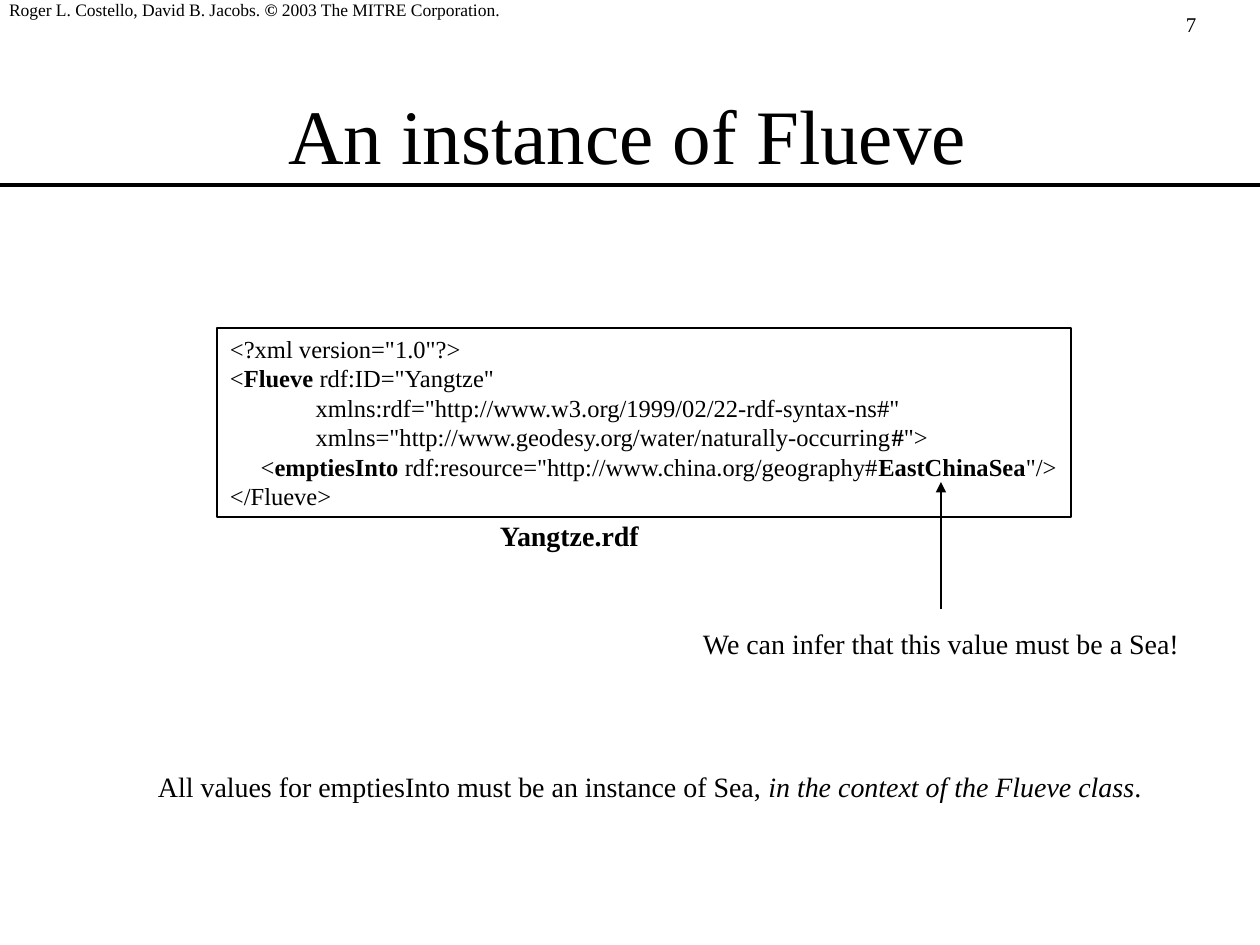
from dataclasses import dataclass

from lxml import etree
from pptx import Presentation
from pptx.dml.color import RGBColor
from pptx.enum.shapes import MSO_CONNECTOR, MSO_SHAPE
from pptx.enum.text import MSO_ANCHOR, PP_ALIGN
from pptx.oxml.ns import qn
from pptx.util import Emu, Pt

STRAIGHT = MSO_CONNECTOR.STRAIGHT
RECT = MSO_SHAPE.RECTANGLE
TOP, MIDDLE, BOTTOM = MSO_ANCHOR.TOP, MSO_ANCHOR.MIDDLE, MSO_ANCHOR.BOTTOM
LEFT, CENTER = PP_ALIGN.LEFT, PP_ALIGN.CENTER

EMU_PER_PX = 914400 // 126
SLIDE_W, SLIDE_H = 1260, 945


@dataclass(frozen=True)
class Theme:
    font: str = "Times New Roman"
    ink: RGBColor = RGBColor(0, 0, 0)
    title: int = 44
    body: int = 16
    code: int = 14
    number: int = 12
    credit: int = 10


THEME = Theme()

# Each line is a list of (text, style) runs; style is "", "b" or "i"
CODE = [
    [('<?xml version="1.0"?>', "")],
    [("<", ""), ("Flueve", "b"), (' rdf:ID="Yangtze"', "")],
    [('              xmlns:rdf="http://www.w3.org/1999/02/22-rdf-syntax-ns#"', "")],
    [('              xmlns="http://www.geodesy.org/water/naturally-occurring', ""),
     ("#", "b"), ('">', "")],
    [("     <", ""), ("emptiesInto", "b"),
     (' rdf:resource="http://www.china.org/geography#', ""),
     ("EastChinaSea", "b"), ('"/>', "")],
    [("</Flueve>", "")],
]
CREDIT = [[("Roger L. Costello, David B. Jacobs. ", ""), ("©", "b"),
           (" 2003 The MITRE Corporation.", "")]]
CONCLUSION = [[("All values for emptiesInto must be an instance of Sea, ", ""),
               ("in the context of the Flueve class", "i"), (".", "")]]


def px(n):
    return Emu(n * EMU_PER_PX)


def place(s, x, y, w, h):
    s.left, s.top, s.width, s.height = px(x), px(y), px(w), px(h)


def write(s, lines, size, align=LEFT, anchor=TOP, insets=(13, 6, 13, 6)):
    tf = s.text_frame
    tf.word_wrap = True
    tf.vertical_anchor = anchor
    tf.margin_left, tf.margin_top, tf.margin_right, tf.margin_bottom = map(px, insets)
    for i, runs in enumerate(lines):
        p = tf.add_paragraph() if i else tf.paragraphs[0]
        p.alignment = align
        for text, style in runs:
            r = p.add_run()
            r.text = text
            r.font.name = THEME.font
            r.font.size = Pt(size)
            r.font.color.rgb = THEME.ink
            r.font.bold = style == "b"
            r.font.italic = style == "i"


def add_text(slide, box, lines, size, **layout):
    s = slide.shapes.add_textbox(*map(px, box))
    write(s, lines, size, **layout)


def add_title(slide, box, text):
    s = slide.shapes.title
    place(s, *box)
    write(s, [[(text, "")]], THEME.title, align=CENTER, anchor=MIDDLE)


def add_code(slide, box, lines):
    s = slide.shapes.add_shape(RECT, *map(px, box))
    s.shadow.inherit = False
    s.fill.background()
    s.line.color.rgb = THEME.ink
    s.line.width = Pt(1)
    write(s, lines, THEME.code)


def add_line(slide, start, end, width, arrow=False):
    s = slide.shapes.add_connector(STRAIGHT, *map(px, start + end))
    s.line.color.rgb = THEME.ink
    s.line.width = Pt(width)
    if arrow:
        etree.SubElement(s.line._get_or_add_ln(), qn("a:tailEnd"), type="triangle")
    etree.SubElement(s._element.spPr, qn("a:effectLst"))


def main():
    prs = Presentation()
    prs.slide_width, prs.slide_height = px(SLIDE_W), px(SLIDE_H)
    slide = prs.slides.add_slide(prs.slide_layouts[5])

    # Header: page number, copyright line, title and rule
    add_text(slide, (1173, 6, 80, 38), [[("7", "")]], THEME.number)
    add_text(slide, (-8, -31, 535, 63), CREDIT, THEME.credit,
             anchor=BOTTOM, insets=(17, 6, 13, 12))
    add_title(slide, (92, 55, 1071, 158), "An instance of Flueve")
    add_line(slide, (0, 185), (SLIDE_W, 185), 2)

    # Code listing with its file name
    add_text(slide, (487, 513, 170, 47), [[("Yangtze.rdf", "b")]], THEME.body)
    add_code(slide, (217, 328, 854, 189), CODE)

    # Inference note pointing at the value
    add_line(slide, (941, 609), (941, 482), 1, arrow=True)
    add_text(slide, (690, 621, 508, 47),
             [[("We can infer that this value must be a Sea!", "")]], THEME.body)

    # Conclusion
    add_text(slide, (145, 764, 1014, 47), CONCLUSION, THEME.body)

    prs.save("out.pptx")


if __name__ == "__main__":
    main()
